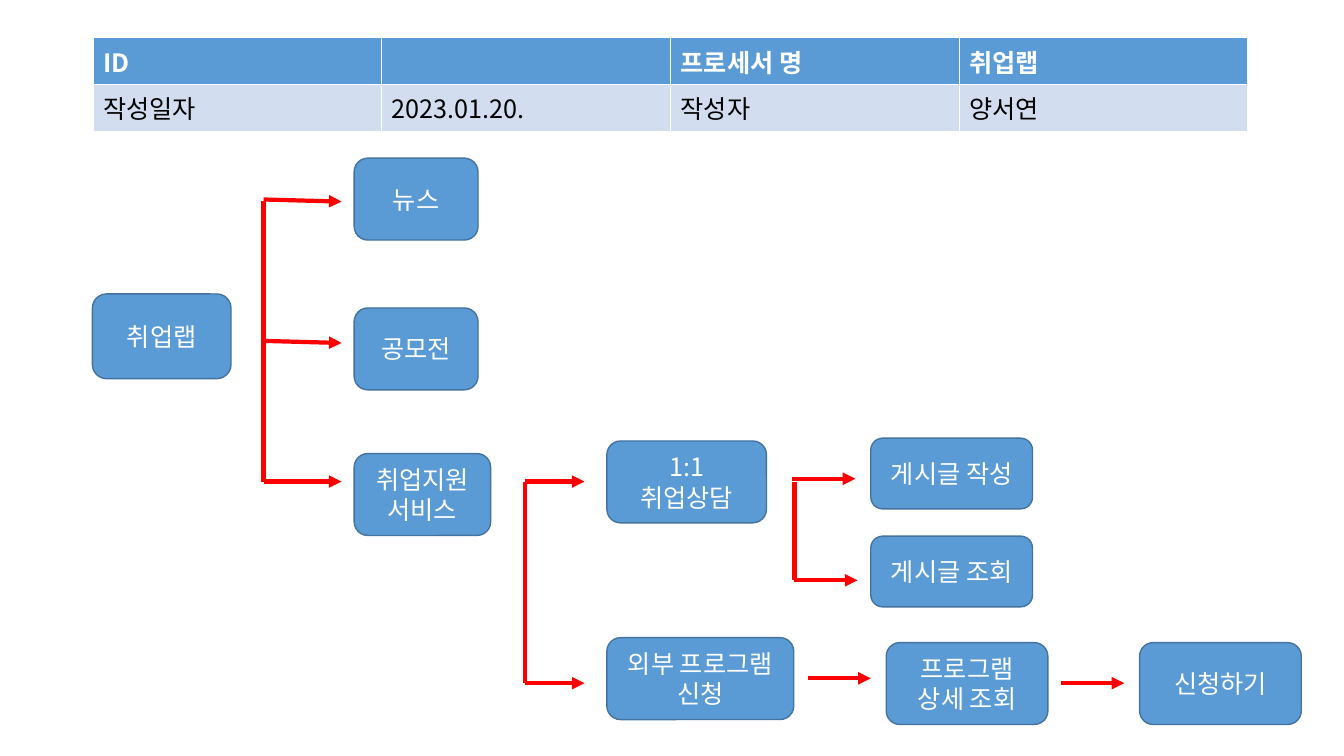
from lxml import etree
from pptx import Presentation
from pptx.dml.color import RGBColor
from pptx.enum import shapes, text
from pptx.oxml import ns
from pptx.util import Pt

FONT = "Noto Sans CJK KR"
BLUE, PALE, OUTLINE = "5B9BD5", "D2DEEF", "43739E"
RED, WHITE, BLACK = "FF0000", "FFFFFF", "000000"


def paint(color_format, color):
    color_format.rgb = RGBColor.from_string(color)


def fill_solid(item, color):
    item.fill.solid()
    paint(item.fill.fore_color, color)


def style(paragraph, color, bold=False):
    font = paragraph.font
    font.name, font.size, font.bold = FONT, Pt(18), bold
    paint(font.color, color)
    latin = paragraph._p.find(".//" + ns.qn("a:latin"))
    east_asian = etree.Element(ns.qn("a:ea"), typeface=FONT)
    latin.addnext(east_asian)


def add_step(slide, label, left, top, width, height=58.5):
    step = slide.shapes.add_shape(shapes.MSO_SHAPE.ROUNDED_RECTANGLE,
                                  Pt(left), Pt(top), Pt(width), Pt(height))
    step.shadow.inherit = False
    fill_solid(step, BLUE)
    paint(step.line.color, OUTLINE)
    step.line.width = Pt(1)
    frame = step.text_frame
    frame.word_wrap = True
    frame.vertical_anchor = text.MSO_ANCHOR.MIDDLE
    paragraph = frame.paragraphs[0]
    paragraph.text = label
    paragraph.alignment = text.PP_ALIGN.CENTER
    style(paragraph, WHITE)


def add_flow(slide, x1, y1, x2, y2, arrow=True):
    flow = slide.shapes.add_connector(shapes.MSO_CONNECTOR.STRAIGHT,
                                      Pt(x1), Pt(y1), Pt(x2), Pt(y2))
    paint(flow.line.color, RED)
    flow.line.width = Pt(3)
    if arrow:
        etree.SubElement(flow.line._get_or_add_ln(), ns.qn("a:tailEnd"), type="triangle")
    etree.SubElement(flow._element.spPr, ns.qn("a:effectLst"))


def add_header(slide, left, top, width):
    rows = [("ID", "", "프로세서 명", "취업랩"),
            ("작성일자", "2023.01.20.", "작성자", "양서연")]
    looks = [(BLUE, WHITE, True, 33.5), (PALE, BLACK, False, 33.5)]
    table = slide.shapes.add_table(2, 4, Pt(left), Pt(top), Pt(width), Pt(67)).table
    for column in table.columns:
        column.width = Pt(width / 4)
    for r, (labels, (fill, color, bold, height)) in enumerate(zip(rows, looks)):
        table.rows[r].height = Pt(height)
        for c, label in enumerate(labels):
            cell = table.cell(r, c)
            fill_solid(cell, fill)
            cell.text = label
            style(cell.text_frame.paragraphs[0], color, bold)


def add_main_menu(slide, left, top):
    add_step(slide, "취업랩", left, top + 97, 99, 60.5)
    trunk = left + 122.25
    add_flow(slide, trunk, top + 30.5, trunk, top + 231, arrow=False)
    for y, slope in [(29.5, 1.5), (130.5, 1.5), (231, 0)]:
        add_flow(slide, trunk, top + y, left + 178, top + y + slope)
    for label, y, width in [("뉴스", 0, 88.5), ("공모전", 107, 88.5),
                            ("취업지원서비스", 211, 97.5)]:
        add_step(slide, label, left + 187, top + y, width)


def add_services(slide, left, top):
    add_flow(slide, left, top + 31, left, top + 175, arrow=False)
    for label, arrow_y, y, width in [("1:1 취업상담", 31, 2, 114),
                                     ("외부 프로그램 신청", 175, 142.5, 133.5)]:
        add_flow(slide, left, top + arrow_y, left + 42.5, top + arrow_y)
        add_step(slide, label, left + 58.5, top + y, width)


def add_consulting(slide, left, top):
    add_flow(slide, left + 1.5, top + 31, left + 1.5, top + 101.5, arrow=False)
    for label, x, arrow_y, y in [("게시글 작성", 0, 29, 0),
                                 ("게시글 조회", 1.5, 101.5, 70)]:
        add_flow(slide, left + x, top + arrow_y, left + x + 45, top + arrow_y)
        add_step(slide, label, left + 56, top + y, 115.5, 50.5)


def add_programs(slide, left, top):
    for label, x, arrow_y in [("프로그램 상세 조회", 0, 25.5), ("신청하기", 181, 29)]:
        add_flow(slide, left + x, top + arrow_y, left + x + 45, top + arrow_y)
        add_step(slide, label, left + x + 56, top, 115.5)


deck = Presentation()
deck.slide_width, deck.slide_height = Pt(960), Pt(540)
process = deck.slides.add_slide(deck.slide_layouts[6])
add_header(process, 66.5, 27, 825)
add_main_menu(process, 66, 113)
add_services(process, 375, 313)
add_consulting(process, 566, 313)
add_programs(process, 577, 459)
deck.save("out.pptx")
